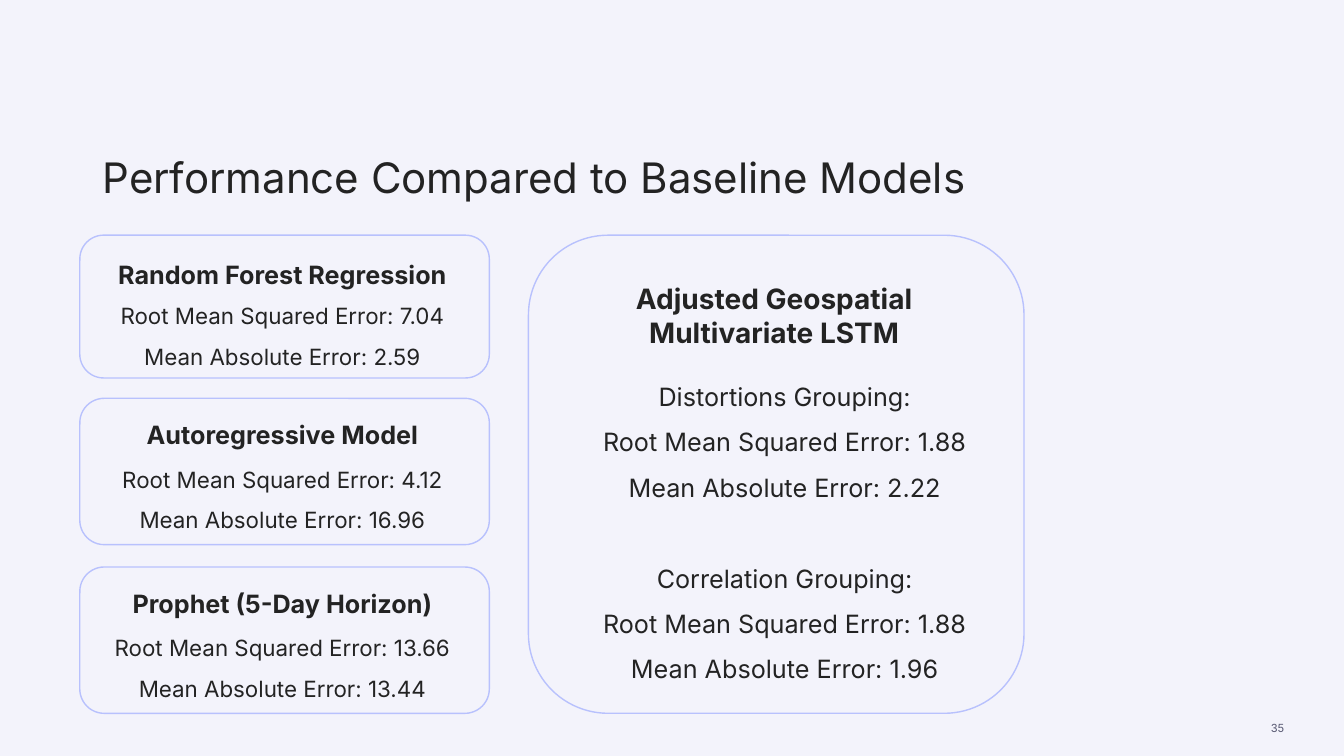
from pptx import Presentation
from pptx.dml.color import RGBColor
from pptx.enum.shapes import MSO_SHAPE
from pptx.enum.text import MSO_ANCHOR, MSO_AUTO_SIZE, PP_ALIGN
from pptx.util import Pt

ROUND = MSO_SHAPE.ROUNDED_RECTANGLE
LEFT, CENTER, RIGHT = PP_ALIGN.LEFT, PP_ALIGN.CENTER, PP_ALIGN.RIGHT
TOP, MIDDLE, BOTTOM = MSO_ANCHOR.TOP, MSO_ANCHOR.MIDDLE, MSO_ANCHOR.BOTTOM
FIXED = MSO_AUTO_SIZE.NONE

COLORS = {"back": "F3F3FB", "ink": "232323", "edge": "B8C1FD", "page": "5C5D76"}
FONT = "Inter"
RMSE, MAE = "Root Mean Squared Error: ", "Mean Absolute Error: "

MODELS = [
    ("Random Forest Regression", "7.04", "2.59", 168, 102, 13.5),
    ("Autoregressive Model", "4.12", "16.96", 284.5, 104.5, 11.5),
    ("Prophet (5-Day Horizon)", "13.66", "13.44", 405, 104.5, 12),
]
GROUPS = [("Distortions", "1.88", "2.22"), ("Correlation", "1.88", "1.96")]


def color(name):
    return RGBColor.from_string(COLORS[name])


def style(par, size, align=CENTER, bold=False, ink="ink", lead=None):
    par.alignment = align
    if lead:
        par.line_spacing = lead
    par.font.name = FONT
    par.font.size = Pt(size)
    par.font.bold = bold
    par.font.color.rgb = color(ink)


def write(slide, box, lines, size, anchor=TOP, **look):
    frame = slide.shapes.add_textbox(*map(Pt, box)).text_frame
    frame.word_wrap = True
    frame.vertical_anchor = anchor
    frame.text = "\n".join(lines)
    for par in frame.paragraphs:
        style(par, size, **look)
    return frame


def panel(slide, box):
    shape = slide.shapes.add_shape(ROUND, *map(Pt, box))
    shape.shadow.inherit = False
    shape.fill.background()
    shape.line.color.rgb = color("edge")
    shape.line.width = Pt(1)


def card(slide, box, name, rmse, mae, drop):
    x, y, w, h = box
    panel(slide, box)
    write(slide, (x + 14.5, y + drop, w - 32, 29), [name], 18, bold=True)
    write(slide, (x + 14.5, y + 35, w - 32, 62),
          [RMSE + rmse, MAE + mae], 16, lead=1.5)


def result(slide, box):
    x, y, w, h = box
    panel(slide, box)
    write(slide, (x + 17.5, y + 29.5, w - 38, 55.5),
          ["Adjusted Geospatial Multivariate LSTM"], 20, bold=True)
    lines = []
    for name, rmse, mae in GROUPS:
        lines += [name + " Grouping:", RMSE + rmse, MAE + mae]
    frame = write(slide, (x + 17.5, y + 90, w - 23, 232.5), lines, 18, lead=1.5)
    frame.paragraphs[3].space_before = Pt(32.5)


def heading(slide, box):
    title = slide.shapes.title
    title.left, title.top, title.width, title.height = map(Pt, box)
    frame = title.text_frame
    frame.text = "Performance Compared to Baseline Models"
    frame.auto_size = FIXED
    frame.vertical_anchor = BOTTOM
    style(frame.paragraphs[0], 30, LEFT)


def main():
    deck = Presentation()
    deck.slide_width, deck.slide_height = Pt(960), Pt(540)
    slide = deck.slides.add_slide(deck.slide_layouts[5])
    slide.background.fill.solid()
    slide.background.fill.fore_color.rgb = color("back")
    heading(slide, (66, 80.5, 676, 67))
    for name, rmse, mae, top, high, drop in MODELS:
        card(slide, (57, top, 292.5, high), name, rmse, mae, drop)
    result(slide, (377.5, 168, 354, 341.5))
    write(slide, (757.5, 499.5, 167, 40.5), ["35"], 8, MIDDLE, align=RIGHT, ink="page")
    deck.save("out.pptx")


if __name__ == "__main__":
    main()
